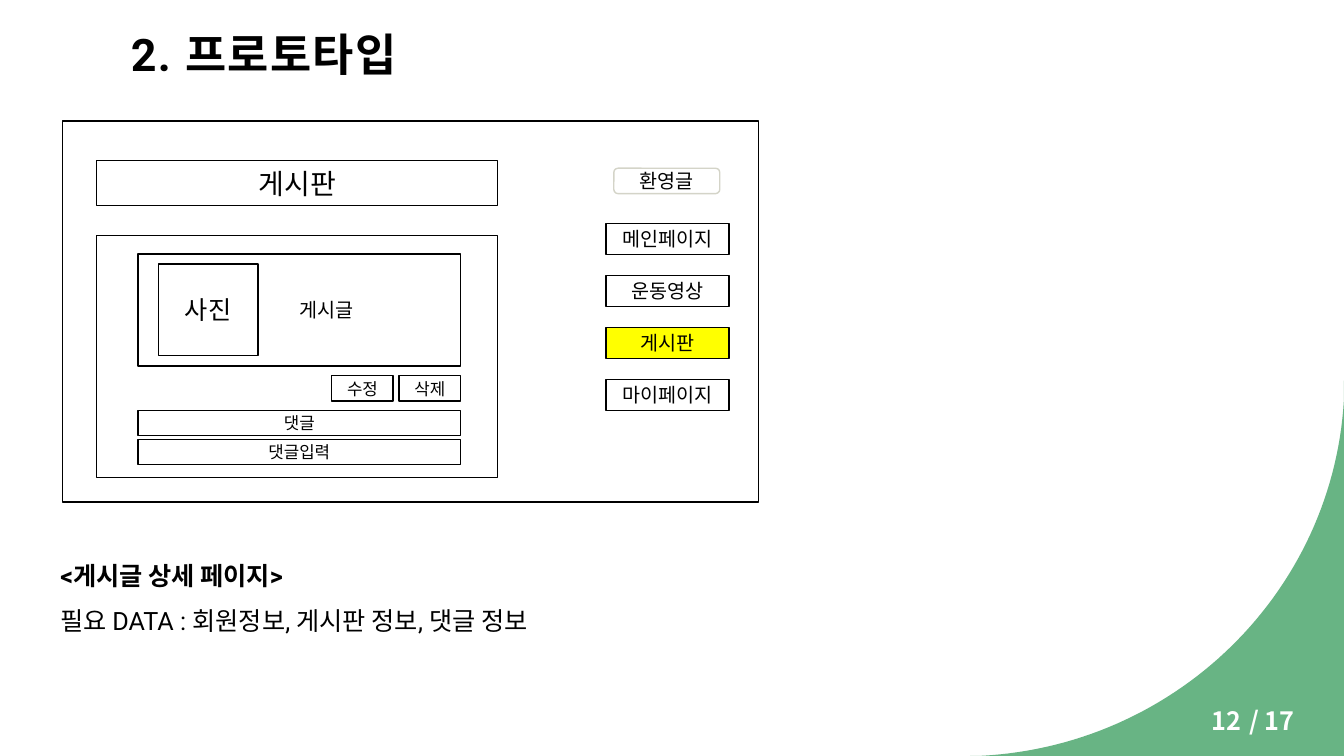
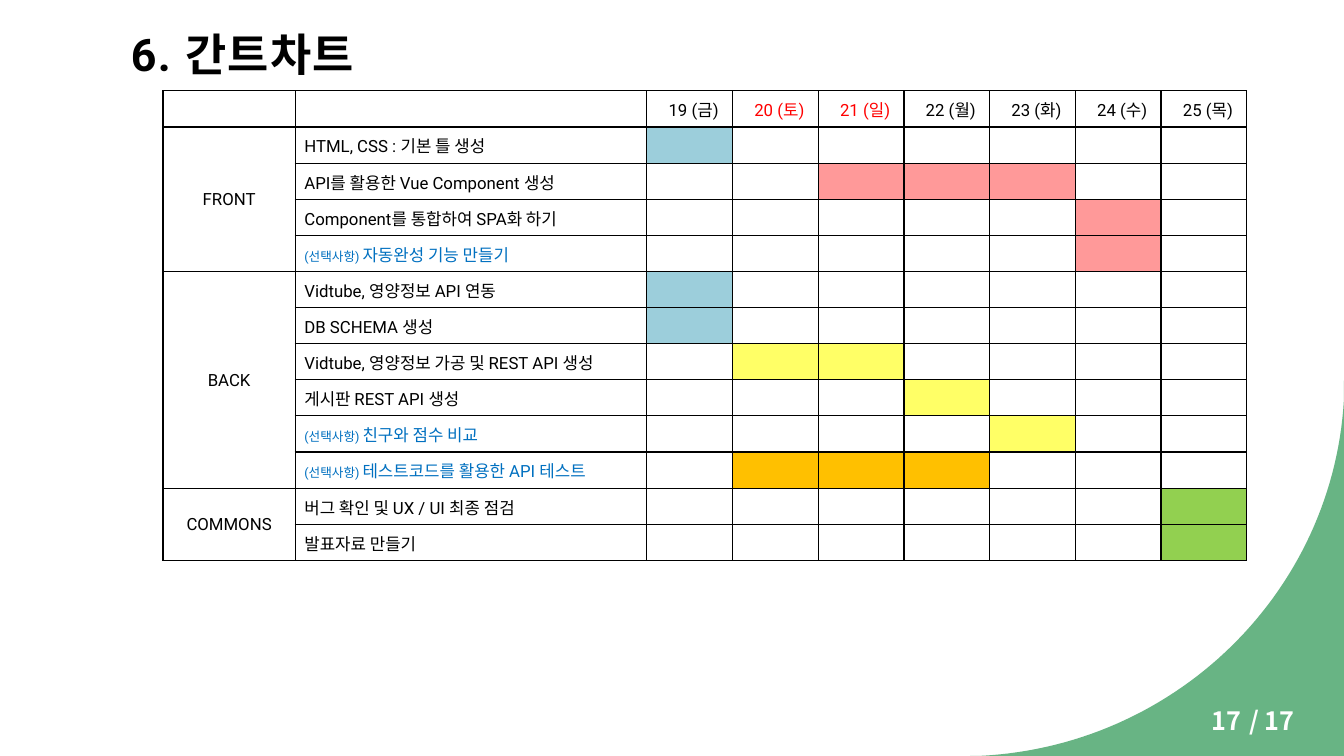
from lxml import etree
from pptx import Presentation
from pptx.dml.color import RGBColor
from pptx.enum import shapes, text
from pptx.oxml import ns
from pptx.util import Cm, Pt

BLACK = RGBColor(0x00, 0x00, 0x00)
WHITE = RGBColor(0xFF, 0xFF, 0xFF)
GREEN = RGBColor(0x68, 0xB4, 0x84)
GREY = RGBColor(0xD4, 0xD4, 0xC8)
HIGHLIGHT = RGBColor(0xFF, 0xFF, 0x00)
WEEKEND = RGBColor(0xFF, 0x00, 0x00)
OPTIONAL = RGBColor(0x00, 0x70, 0xC0)
SKY = RGBColor(0x9C, 0xCE, 0xDB)
PINK = RGBColor(0xFF, 0x99, 0x99)
YELLOW = RGBColor(0xFF, 0xFF, 0x66)
ORANGE = RGBColor(0xFF, 0xC0, 0x00)
LIME = RGBColor(0x92, 0xD0, 0x50)

LATIN = "Roboto"
HANGUL = "Noto Sans CJK KR"
CENTER = text.PP_ALIGN.CENTER
MIDDLE = text.MSO_ANCHOR.MIDDLE

WIDTH, HEIGHT = 33.87, 19.05
TOTAL_PAGES = 17
OPTIONAL_MARK = "(선택사항) "

DAYS = ["19 (금)", "20 (토)", "21 (일)", "22 (월)", "23 (화)", "24 (수)", "25 (목)"]
WEEKEND_DAYS = {1, 2}
# Each task: name, optional or not, first day, number of days, bar colour
SECTIONS = [
    ("FRONT", [
        ("HTML, CSS : 기본 틀 생성", False, 0, 1, SKY),
        ("API를 활용한 Vue Component 생성", False, 2, 3, PINK),
        ("Component를 통합하여 SPA화 하기", False, 5, 1, PINK),
        ("자동완성 기능 만들기", True, 5, 1, PINK),
    ]),
    ("BACK", [
        ("Vidtube, 영양정보 API 연동", False, 0, 1, SKY),
        ("DB SCHEMA 생성", False, 0, 1, SKY),
        ("Vidtube, 영양정보 가공 및 REST API 생성", False, 1, 2, YELLOW),
        ("게시판 REST API 생성", False, 3, 1, YELLOW),
        ("친구와 점수 비교", True, 4, 1, YELLOW),
        ("테스트코드를 활용한 API 테스트", True, 1, 3, ORANGE),
    ]),
    ("COMMONS", [
        ("버그 확인 및 UX / UI 최종 점검", False, 6, 1, LIME),
        ("발표자료 만들기", False, 6, 1, LIME),
    ]),
]


def add_run(paragraph, words, size, color=BLACK, bold=False, latin=LATIN):
    run = paragraph.add_run()
    run.text = words
    run.font.size = Pt(size)
    run.font.bold = bold
    run.font.color.rgb = color
    run.font.name = latin
    east_asian = etree.SubElement(run._r.get_or_add_rPr(), ns.qn("a:ea"))
    east_asian.set("typeface", HANGUL)
    return run


def set_margins(holder, left, top, right, bottom):
    holder.margin_left, holder.margin_top = Cm(left), Cm(top)
    holder.margin_right, holder.margin_bottom = Cm(right), Cm(bottom)


def add_text_frame(slide, left, top, width, height):
    box = slide.shapes.add_textbox(Cm(left), Cm(top), Cm(width), Cm(height))
    box.text_frame.word_wrap = True
    return box.text_frame


def add_corner(slide):
    """Fill the lower right corner outside a curved edge."""
    start, pull_1, pull_2, end = (24.66, 19.05), (29.64, 18.82), (33.6, 14.91), (WIDTH, 10.06)
    steps = 60
    curve = []
    for step in range(steps + 1):
        t = step / steps
        s = 1 - t
        curve.append(tuple(
            Cm(s**3 * a + 3 * s * s * t * b + 3 * s * t * t * c + t**3 * d)
            for a, b, c, d in zip(start, pull_1, pull_2, end)))
    builder = slide.shapes.build_freeform(Cm(WIDTH), Cm(9.59), scale=1.0)
    builder.add_line_segments([(Cm(WIDTH), Cm(HEIGHT)), (Cm(24.45), Cm(HEIGHT)), *curve])
    corner = builder.convert_to_shape()
    corner.shadow.inherit = False
    corner.fill.solid()
    corner.fill.fore_color.rgb = GREEN
    corner.line.fill.background()


def add_page(deck, title, number):
    """Add a slide with the shared corner, title and page number."""
    slide = deck.slides.add_slide(deck.slide_layouts[6])
    add_corner(slide)
    for left, width, words in ((31.24, 2.62, f"/ {TOTAL_PAGES}"), (30.28, 2.92, str(number))):
        footer = add_text_frame(slide, left, 17.65, width, 1.02)
        add_run(footer.paragraphs[0], words, 18, WHITE, True, HANGUL)
    heading = add_text_frame(slide, 3, 0.61, 27.64, 1.68)
    heading.vertical_anchor = text.MSO_ANCHOR.BOTTOM
    set_margins(heading, 0.3, 0.3, 0.3, 0.25)
    heading.paragraphs[0].line_spacing = 1.1
    run = add_run(heading.paragraphs[0], title, 32, bold=True)
    run._r.get_or_add_rPr().set("spc", "100")
    return slide


def add_box(slide, left, top, width, height, label="", size=14, fill=WHITE,
            line=BLACK, preset=shapes.MSO_SHAPE.RECTANGLE, indent=0):
    """Add one wireframe part; indent moves its label to the right."""
    box = slide.shapes.add_shape(preset, Cm(left), Cm(top), Cm(width), Cm(height))
    box.shadow.inherit = False
    box.fill.solid()
    box.fill.fore_color.rgb = fill
    box.line.color.rgb = line
    box.line.width = Pt(1)
    if label:
        frame = box.text_frame
        frame.word_wrap = True
        frame.vertical_anchor = MIDDLE
        set_margins(frame, indent, 0, 0, 0)
        frame.paragraphs[0].alignment = CENTER
        add_run(frame.paragraphs[0], label, size, latin=HANGUL)


def add_wireframe(slide):
    add_box(slide, 1.57, 3.05, 17.55, 9.6)
    add_box(slide, 2.44, 4.05, 10.1, 1.13, "게시판", 20)

    add_box(slide, 15.47, 4.24, 2.67, 0.64, "환영글", line=GREY,
            preset=shapes.MSO_SHAPE.ROUNDED_RECTANGLE)
    for index, label in enumerate(["메인페이지", "운동영상", "게시판", "마이페이지"]):
        add_box(slide, 15.27, 5.64 + 1.31 * index, 3.1, 0.77, label,
                fill=HIGHLIGHT if label == "게시판" else WHITE)

    add_box(slide, 2.44, 5.94, 10.1, 6.1)
    add_box(slide, 3.48, 6.4, 8.13, 2.82, "게시글", indent=1.35)
    add_box(slide, 3.99, 6.65, 2.51, 2.31, "사진", 18)
    for left, label in ((8.36, "수정"), (10.06, "삭제")):
        add_box(slide, left, 9.47, 1.55, 0.64, label, 12)
    for top, label in ((10.34, "댓글"), (11.07, "댓글입력")):
        add_box(slide, 3.48, top, 8.13, 0.64, label, 12)


def add_description(slide, heading, detail):
    frame = add_text_frame(slide, 1.27, 13.61, 23.32, 2.44)
    for paragraph, words, bold in ((frame.paragraphs[0], heading, True),
                                   (frame.add_paragraph(), detail, False)):
        paragraph.line_spacing = 1.5
        add_run(paragraph, words, 18, bold=bold)


def style_cell(cell):
    """Give a cell black borders, a white fill and tight margins."""
    properties = cell._tc.get_or_add_tcPr()
    for side in ("lnL", "lnR", "lnT", "lnB"):
        border = etree.SubElement(properties, ns.qn(f"a:{side}"), w=str(Pt(1)))
        fill = etree.SubElement(border, ns.qn("a:solidFill"))
        etree.SubElement(fill, ns.qn("a:srgbClr"), val=str(BLACK))
    paint_cell(cell, WHITE)
    cell.vertical_anchor = MIDDLE
    set_margins(cell, 0.23, 0.03, 0.03, 0)
    cell.text_frame.paragraphs[0]._p.get_or_add_endParaRPr().set("sz", "1200")


def paint_cell(cell, color):
    cell.fill.solid()
    cell.fill.fore_color.rgb = color


def write_centered(cell, words, color=BLACK):
    paragraph = cell.text_frame.paragraphs[0]
    paragraph.alignment = CENTER
    add_run(paragraph, words, 12, color)


def write_task(cell, name, optional):
    paragraph = cell.text_frame.paragraphs[0]
    if optional:
        add_run(paragraph, OPTIONAL_MARK, 9, OPTIONAL)
    add_run(paragraph, name, 12, OPTIONAL if optional else BLACK)


def add_gantt(slide):
    widths = [3.33, 8.86] + [2.16] * len(DAYS)
    row_count = 1 + sum(len(tasks) for _, tasks in SECTIONS)
    row_height = 0.91
    gantt = slide.shapes.add_table(row_count, len(widths), Cm(4.11), Cm(2.29),
                                   Cm(sum(widths)), Cm(row_height * row_count)).table
    gantt.first_row = gantt.horz_banding = False
    for column, width in zip(gantt.columns, widths):
        column.width = Cm(width)
    for row in gantt.rows:
        row.height = Cm(row_height)
        for cell in row.cells:
            style_cell(cell)

    for day, label in enumerate(DAYS):
        write_centered(gantt.cell(0, 2 + day), label, WEEKEND if day in WEEKEND_DAYS else BLACK)
    row = 1
    for section, tasks in SECTIONS:
        section_cell = gantt.cell(row, 0)
        section_cell.merge(gantt.cell(row + len(tasks) - 1, 0))
        section_cell.margin_right = section_cell.margin_left
        write_centered(section_cell, section)
        for name, optional, first_day, length, color in tasks:
            write_task(gantt.cell(row, 1), name, optional)
            for day in range(first_day, first_day + length):
                paint_cell(gantt.cell(row, 2 + day), color)
            row += 1


def main():
    deck = Presentation()
    deck.slide_width, deck.slide_height = Cm(WIDTH), Cm(HEIGHT)

    prototype = add_page(deck, "2. 프로토타입", 12)
    add_wireframe(prototype)
    add_description(prototype, "<게시글 상세 페이지>",
                    "필요 DATA : 회원정보, 게시판 정보, 댓글 정보")

    schedule = add_page(deck, "6. 간트차트", 17)
    add_gantt(schedule)

    deck.save("out.pptx")


if __name__ == "__main__":
    main()
